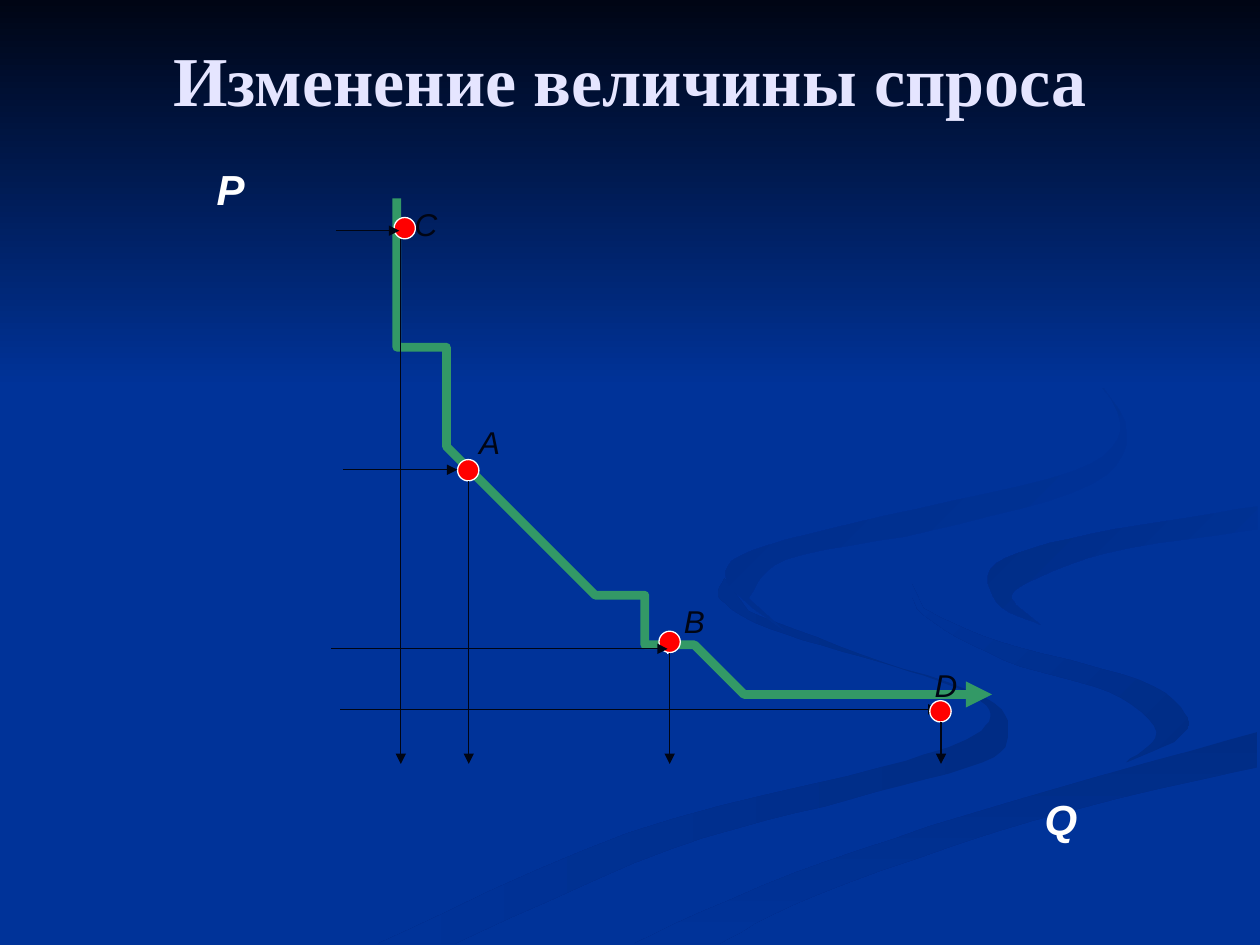
from collections import namedtuple
from dataclasses import dataclass

from lxml.etree import SubElement
from pptx import Presentation
from pptx.dml.color import RGBColor as RGB
from pptx.enum.shapes import MSO_CONNECTOR as LINE, MSO_SHAPE as SHAPE
from pptx.enum.text import MSO_ANCHOR as ANCHOR, PP_ALIGN as ALIGN
from pptx.oxml.ns import qn
from pptx.util import Cm, Pt

Box = namedtuple("Box", "left top width height")
Wave = namedtuple("Wave", "start end angle edges")
Point = namedtuple("Point", "center price quantity label")


@dataclass(frozen=True)
class Theme:
    blue: RGB = RGB.from_string("003399")
    deep: RGB = RGB.from_string("002C85")
    night: RGB = RGB.from_string("000514")
    title: RGB = RGB.from_string("E5E5FF")
    white: RGB = RGB.from_string("FFFFFF")
    curve: RGB = RGB.from_string("339966")
    marker: RGB = RGB.from_string("FF0000")
    title_font: str = "Times New Roman"
    text_font: str = "Arial"
    title_size: Pt = Pt(40)
    axis_size: Pt = Pt(24)
    point_size: Pt = Pt(18)
    thin: Pt = Pt(0.75)
    thick: Pt = Pt(5)


THEME = Theme()

# Each ribbon has two smooth edges, in thousandths of the page width
WAVES = [
    Wave(THEME.deep, THEME.blue, 180, [
        [(575, 459), (572, 476), (611, 499), (697, 525), (762, 547),
         (786, 566), (767, 587), (699, 609), (499, 661), (300, 749)],
        [(361, 749), (532, 674), (676, 634), (780, 605), (800, 581),
         (781, 553), (682, 519), (594, 485)]]),
    Wave(THEME.deep, THEME.blue, 135, [
        [(724, 464), (733, 488), (797, 524), (880, 549), (918, 581), (894, 605)],
        [(932, 589), (943, 570), (905, 540), (792, 509), (733, 483)]]),
    Wave(THEME.deep, THEME.blue, 270, [
        [(503, 749), (630, 693), (797, 638), (998, 581)],
        [(998, 609), (821, 651), (649, 710), (571, 749)]]),
    Wave(THEME.blue, THEME.deep, 135, [
        [(998, 402), (865, 424), (791, 447), (791, 478), (826, 496)],
        [(806, 480), (809, 466), (878, 439), (998, 420)]]),
    Wave(THEME.blue, THEME.deep, 135, [
        [(762, 233), (846, 279), (889, 335), (852, 374),
         (704, 409), (597, 437), (577, 462), (622, 500)],
        [(594, 475), (624, 444), (739, 421), (867, 384), (893, 335), (843, 275)]]),
]

# Diagram lengths are centimetres from the corner of its box
CURVE = [(4.05, 1.01), (4.23, 2.89), (4.43, 4.75), (5.4, 6.25), (6.39, 7.77),
         (8.19, 9.24), (9.94, 10.13), (11.67, 11), (14.87, 11.27), (15.84, 11.48)]
# Centre, price arrow (from x, to x, y), quantity arrow x, label centre and top
POINTS = {
    "C": Point((4.16, 1.6), (2.78, 4.05, 1.65), 4.08, (4.59, 1.01)),
    "A": Point((5.44, 6.48), (2.91, 5.22, 6.47), 5.45, (5.87, 5.41)),
    "B": Point((9.5, 9.94), (2.68, 9.46, 10.08), 9.5, (10, 9.01)),
    "D": Point((14.96, 11.34), (2.86, 14.92, 11.3), 14.97, (15.07, 10.31)),
}
QUANTITY_END = 12.4
AXES = {"P": (0.65, 0.18), "Q": (17.39, 12.88)}


def bezier(start, first, second, end, steps):
    for step in range(1, steps + 1):
        t = step / steps
        weights = ((1 - t) ** 3, 3 * t * (1 - t) ** 2, 3 * t * t * (1 - t), t ** 3)
        yield tuple(sum(w * value for w, value in zip(weights, axis))
                    for axis in zip(start, first, second, end))


def smooth(knots):
    """Pass a Catmull-Rom curve through the knots."""
    padded = [knots[0], *knots, knots[-1]]
    result = [knots[0]]
    for before, start, end, after in zip(padded, padded[1:], padded[2:], padded[3:]):
        first = tuple(s + (e - b) / 6 for b, s, e in zip(before, start, end))
        second = tuple(e - (a - s) / 6 for s, e, a in zip(start, end, after))
        result.extend(bezier(start, first, second, end, steps=6))
    return result


def fill_gradient(shape, start, end, angle):
    shape.shadow.inherit = False
    shape.line.fill.background()
    shape.fill.gradient()
    shape.fill.gradient_angle = angle
    for stop, color in zip(shape.fill.gradient_stops, (start, end)):
        stop.color.rgb = color


def style_line(shape, color, width, arrow=False):
    shape.line.color.rgb = color
    shape.line.width = width
    if arrow:
        SubElement(shape.line._get_or_add_ln(), qn("a:tailEnd"), type="triangle")


def add_backdrop(page, box):
    page.background.fill.solid()
    page.background.fill.fore_color.rgb = THEME.blue
    for wave in WAVES:
        outline = [point for edge in wave.edges for point in smooth(edge)]
        builder = page.shapes.build_freeform(*outline[0], scale=box.width / 1000)
        builder.add_line_segments(outline[1:], close=True)
        ribbon = builder.convert_to_shape(box.left, box.top)
        fill_gradient(ribbon, wave.start, wave.end, wave.angle)
    # Dark band fading into the page
    shade = page.shapes.add_shape(SHAPE.RECTANGLE, box.left, box.top, box.width, Cm(7.82))
    fill_gradient(shade, THEME.night, THEME.blue, 270)


def style_text(frame, font, size, color, italic=False, bold=True):
    para = frame.paragraphs[0]
    para.alignment = ALIGN.CENTER
    style = para.runs[0].font
    style.name, style.size, style.color.rgb = font, size, color
    style.bold, style.italic = bold, italic


def add_title(page, box):
    title = page.shapes.title
    title.left, title.top, title.width, title.height = box
    frame = title.text_frame
    frame.text = "Изменение величины спроса"
    frame.vertical_anchor = ANCHOR.MIDDLE
    style_text(frame, THEME.title_font, THEME.title_size, THEME.title)
    # Bring the title in front of the backdrop
    title.element.getparent().append(title.element)


def add_arrow(page, box, *ends, color=THEME.night):
    x1, y1, x2, y2 = (Cm(value) for value in ends)
    arrow = page.shapes.add_connector(
        LINE.STRAIGHT, box.left + x1, box.top + y1, box.left + x2, box.top + y2)
    style_line(arrow, color, THEME.thin, arrow=True)
    SubElement(arrow.element.spPr, qn("a:effectLst"))


def add_marker(page, box, center):
    size = Cm(0.43)
    x, y = (Cm(value) - size // 2 for value in center)
    marker = page.shapes.add_shape(
        SHAPE.FLOWCHART_CONNECTOR, box.left + x, box.top + y, size, size)
    marker.shadow.inherit = False
    marker.fill.solid()
    marker.fill.fore_color.rgb = THEME.marker
    style_line(marker, THEME.white, THEME.thin)


def add_label(page, box, text, place, size, color, bold):
    width = Cm(1.1)
    center, top = (Cm(value) for value in place)
    label = page.shapes.add_textbox(
        box.left + center - width // 2, box.top + top, width, Cm(1.02))
    frame = label.text_frame
    frame.word_wrap = True
    frame.margin_left = frame.margin_right = 0
    frame.text = text
    style_text(frame, THEME.text_font, size, color, italic=True, bold=bold)


def add_curve(page, box):
    builder = page.shapes.build_freeform(*CURVE[0], scale=Cm(1))
    for index in range(0, len(CURVE) - 1, 3):
        builder.add_line_segments(bezier(*CURVE[index:index + 4], steps=12), close=False)
    curve = builder.convert_to_shape(box.left, box.top)
    curve.shadow.inherit = False
    curve.fill.background()
    style_line(curve, THEME.curve, THEME.thick, arrow=True)


def add_diagram(page, box):
    start, end, level = POINTS["B"].price
    add_arrow(page, box, start, level, end + 0.2, level, color=THEME.white)
    add_curve(page, box)
    for name in "BCA":
        add_marker(page, box, POINTS[name].center)
    # Arrows from price to curve and from curve to quantity
    for name, point in POINTS.items():
        start, end, level = point.price
        add_arrow(page, box, start, level, end, level)
        if name == "D":
            add_marker(page, box, point.center)
        add_arrow(page, box, point.quantity, point.center[1] + 0.22,
                  point.quantity, QUANTITY_END)
        add_label(page, box, name, point.label, THEME.point_size, THEME.night, bold=False)
    for name, place in AXES.items():
        add_label(page, box, name, place, THEME.axis_size, THEME.white, bold=True)


def main():
    deck = Presentation()
    deck.slide_width, deck.slide_height = Cm(25.4), Cm(19.05)
    page = deck.slides.add_slide(deck.slide_layouts[5])
    add_backdrop(page, Box(0, 0, deck.slide_width, deck.slide_height))
    add_title(page, Box(Cm(1.27), 0, Cm(22.86), Cm(3.18)))
    add_diagram(page, Box(Cm(4), Cm(3), Cm(18), Cm(14)))
    deck.save("out.pptx")


if __name__ == "__main__":
    main()
